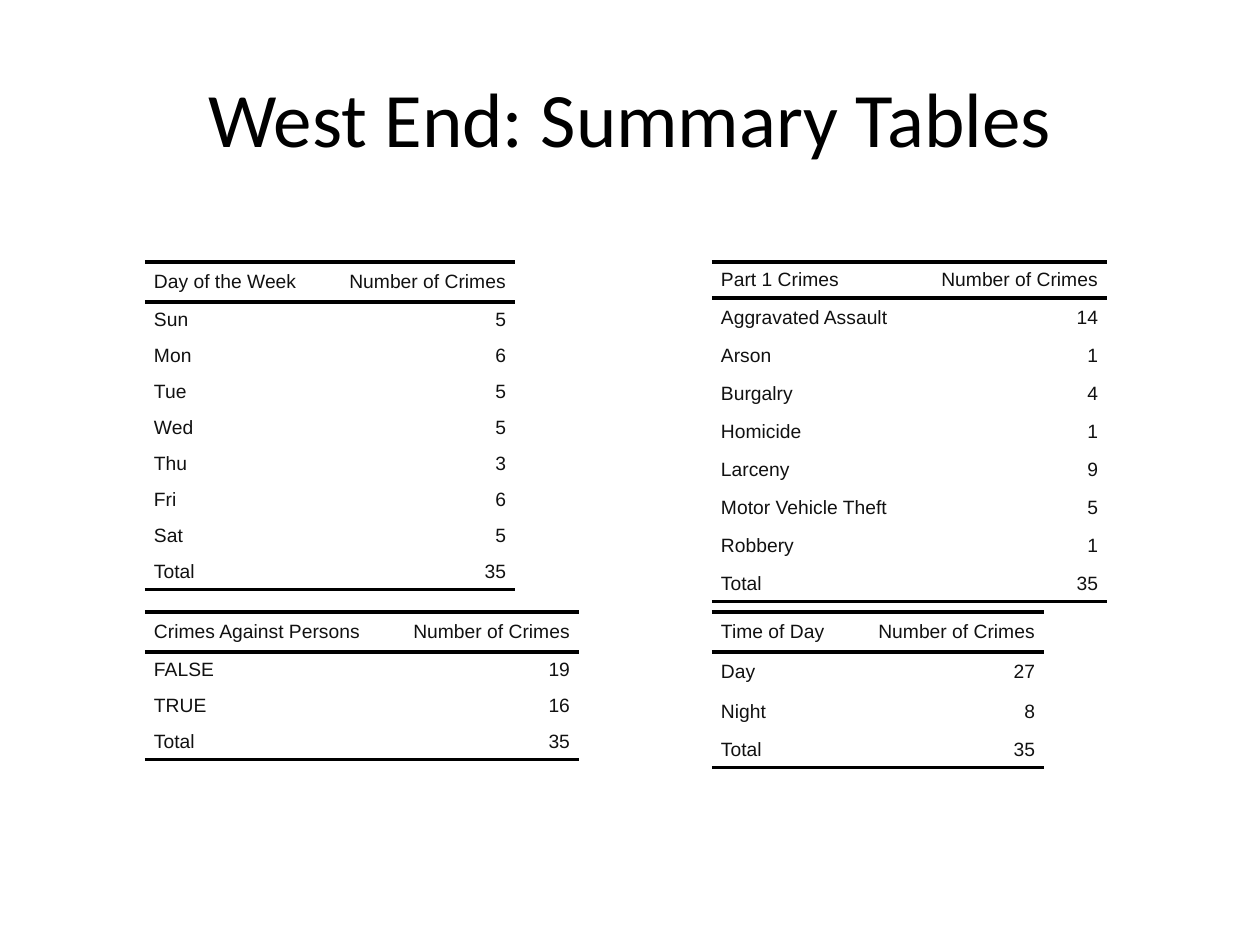
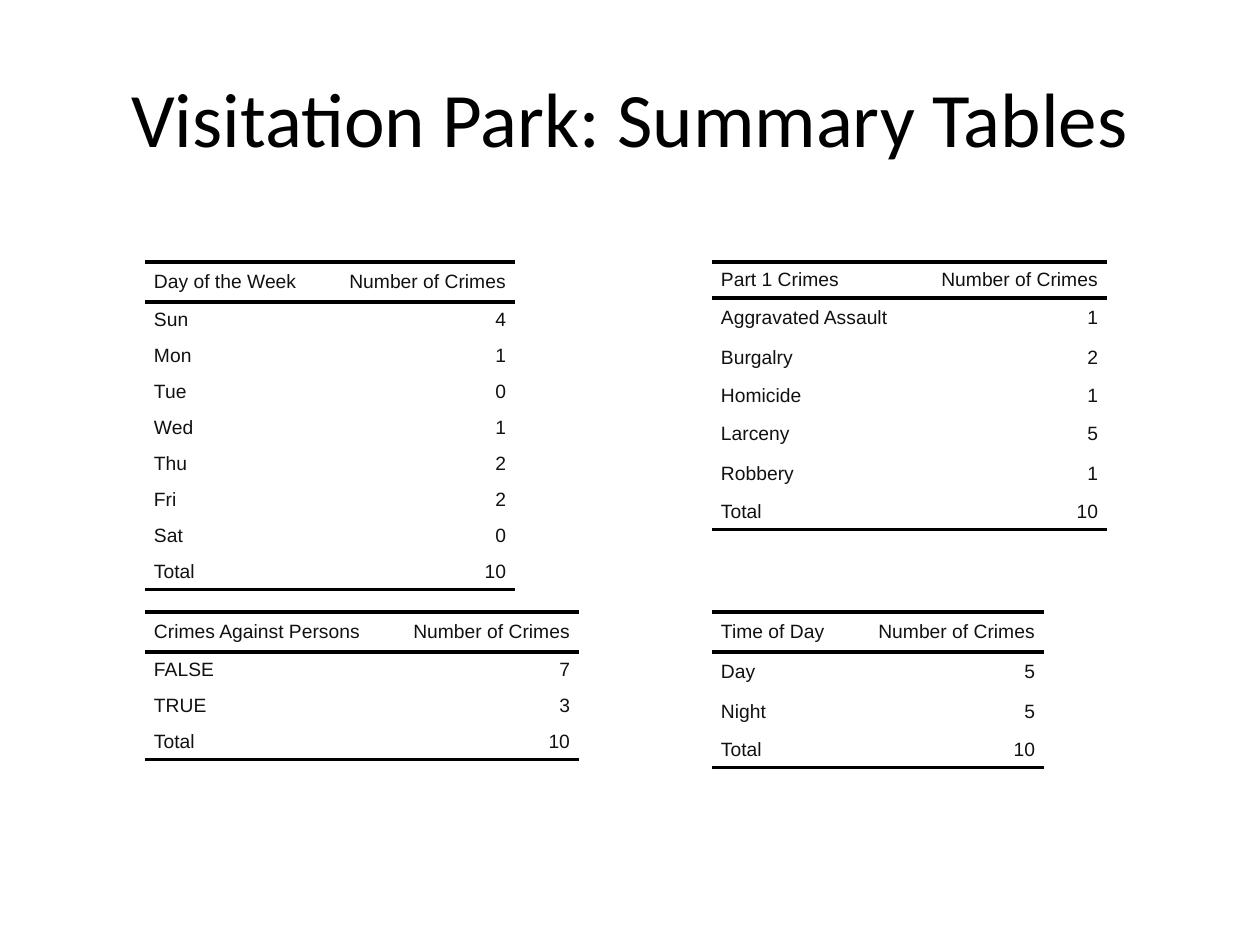
from dataclasses import dataclass
from lxml import etree
from pptx import Presentation
from pptx.dml.color import RGBColor as RGB
from pptx.enum.text import MSO_ANCHOR as ANCHOR, PP_ALIGN as ALIGN
from pptx.oxml.ns import qn
from pptx.util import Emu, Pt


@dataclass(frozen=True)
class Theme:
    title_font: str = "Calibri"
    title_size: int = 44
    title_color: str = "000000"
    cell_font: str = "Arial"
    cell_size: int = 11
    cell_color: str = "111111"
    rule_color: str = "000000"
    rule_width: int = 2
    page_color: str = "FFFFFF"


theme = Theme()
NO_GRID_STYLE = "{2D5ABB26-0587-4C30-8999-92F81FD0307C}"
SHORT_ROW, TALL_ROW = 36, 40
COUNT_WIDTH, CELL_INDENT = 192, 9
LEFT, RIGHT, TOP, BOTTOM = 145, 712, 262, 612


def px(n):
    return Emu(round(n * 914400 / 126))


def add_rule(cell, side):
    ln = etree.SubElement(cell._tc.get_or_add_tcPr(), qn(f"a:{side}"), w=str(Pt(theme.rule_width)))
    fill = etree.SubElement(ln, qn("a:solidFill"))
    etree.SubElement(fill, qn("a:srgbClr"), val=theme.rule_color)


# Heading: left, top, label width, rows that are taller
layouts = {
    "Part 1 Crimes": (RIGHT, TOP, 203, {1, 3, 5, 7}),
    "Day of the Week": (LEFT, TOP, 178, {0}),
    "Crimes Against Persons": (LEFT, BOTTOM, 242, {0}),
    "Time of Day": (RIGHT, BOTTOM, 140, {0, 1, 2}),
}
days = ["Sun", "Mon", "Tue", "Wed", "Thu", "Fri", "Sat"]
areas = {
    "West End": {
        "Part 1 Crimes": {
            "Aggravated Assault": 14, "Arson": 1, "Burgalry": 4, "Homicide": 1,
            "Larceny": 9, "Motor Vehicle Theft": 5, "Robbery": 1,
        },
        "Day of the Week": dict(zip(days, [5, 6, 5, 5, 3, 6, 5])),
        "Crimes Against Persons": {"FALSE": 19, "TRUE": 16},
        "Time of Day": {"Day": 27, "Night": 8},
    },
    "Visitation Park": {
        "Part 1 Crimes": {
            "Aggravated Assault": 1, "Burgalry": 2, "Homicide": 1, "Larceny": 5, "Robbery": 1,
        },
        "Day of the Week": dict(zip(days, [4, 1, 0, 1, 2, 2, 0])),
        "Crimes Against Persons": {"FALSE": 7, "TRUE": 3},
        "Time of Day": {"Day": 5, "Night": 5},
    },
}
# Tables whose taller rows differ from the shared layout
tall_overrides = {("Visitation Park", "Part 1 Crimes"): {1, 2, 4, 5}}

prs = Presentation()
prs.slide_width, prs.slide_height = px(1260), px(945)

for area, tables in areas.items():
    s = prs.slides.add_slide(prs.slide_layouts[5])
    s.background.fill.solid()
    s.background.fill.fore_color.rgb = RGB.from_string(theme.page_color)

    # Title
    sp = s.shapes.title
    sp.left, sp.top, sp.width, sp.height = px(63), px(38), px(1134), px(158)
    tf = sp.text_frame
    tf.vertical_anchor = ANCHOR.MIDDLE
    p = tf.paragraphs[0]
    p.alignment = ALIGN.CENTER
    r = p.add_run()
    r.text = f"{area}: Summary Tables"
    r.font.name, r.font.size = theme.title_font, Pt(theme.title_size)
    r.font.color.rgb = RGB.from_string(theme.title_color)

    # Summary tables
    for heading, counts in tables.items():
        left, top, label_width, tall = layouts[heading]
        tall = tall_overrides.get((area, heading), tall)
        rows = [(heading, "Number of Crimes"), *counts.items(), ("Total", sum(counts.values()))]
        heights = [TALL_ROW if i in tall else SHORT_ROW for i in range(len(rows))]
        table = s.shapes.add_table(len(rows), 2, px(left), px(top),
                                   px(label_width + COUNT_WIDTH), px(sum(heights))).table
        table.horz_banding = table.first_row = False
        table._tbl.tblPr.find(qn("a:tableStyleId")).text = NO_GRID_STYLE
        table.columns[0].width, table.columns[1].width = px(label_width), px(COUNT_WIDTH)

        for i, row in enumerate(rows):
            table.rows[i].height = px(heights[i])
            for j, value in enumerate(row):
                cell = table.cell(i, j)
                cell.margin_left = cell.margin_right = cell.margin_top = cell.margin_bottom = 0
                cell.vertical_anchor = ANCHOR.MIDDLE
                if i == 0:
                    add_rule(cell, "lnT")
                if i in (0, len(rows) - 1):
                    add_rule(cell, "lnB")
                cell.fill.background()
                p = cell.text_frame.paragraphs[0]
                p.alignment = ALIGN.RIGHT if j else ALIGN.LEFT
                pPr = p._p.get_or_add_pPr()
                for side in ("marL", "marR"):
                    pPr.set(side, str(px(CELL_INDENT)))
                r = p.add_run()
                r.text = str(value)
                r.font.name, r.font.size = theme.cell_font, Pt(theme.cell_size)
                r.font.color.rgb = RGB.from_string(theme.cell_color)

prs.save("out.pptx")
